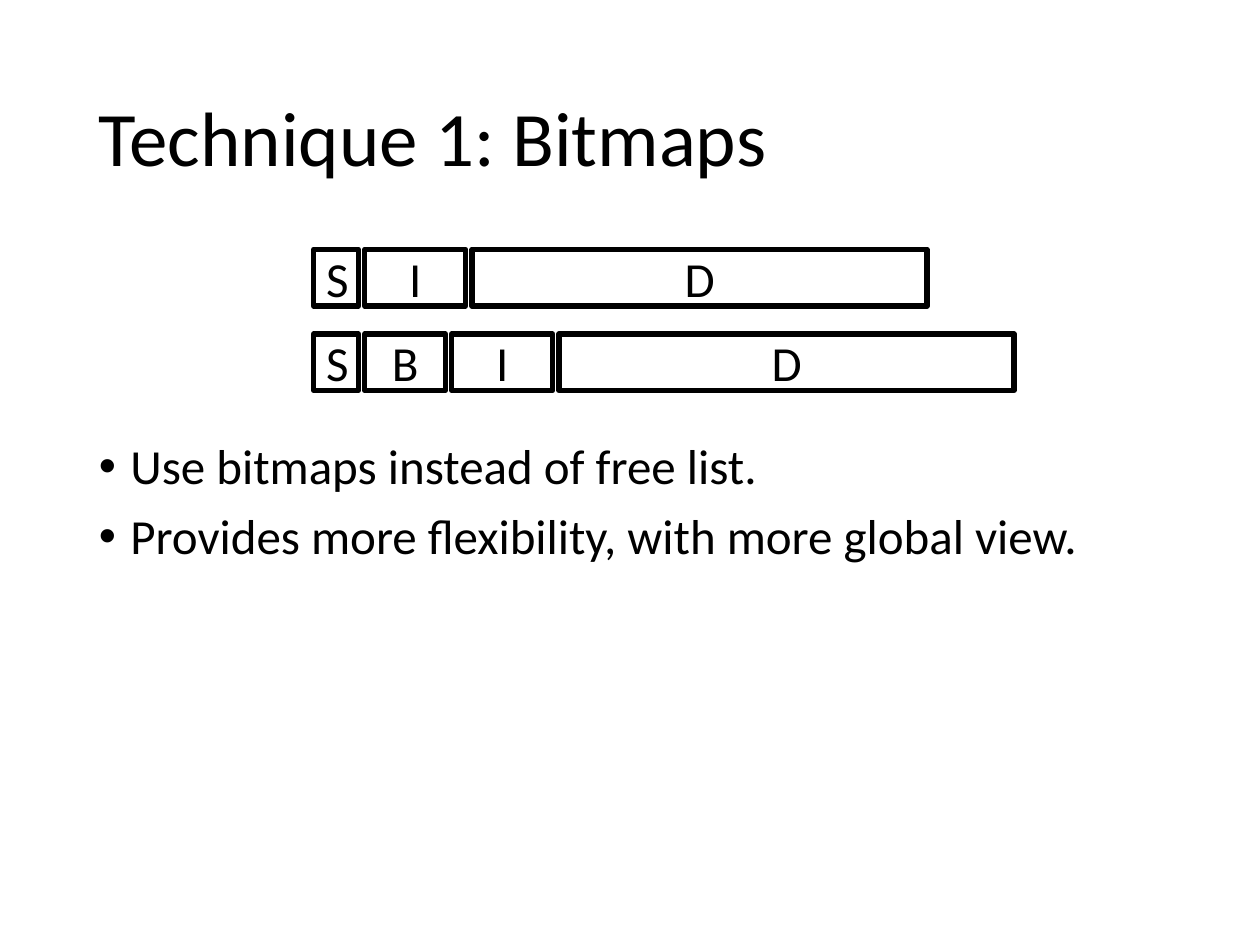
from lxml import etree
from pptx import Presentation
from pptx.dml.color import RGBColor
from pptx.enum.shapes import MSO_SHAPE
from pptx.enum.text import MSO_ANCHOR, PP_ALIGN
from pptx.oxml.ns import qn
from pptx.util import Pt

RECT = MSO_SHAPE.RECTANGLE
MIDDLE = MSO_ANCHOR.MIDDLE
CENTER = PP_ALIGN.CENTER
BLACK = RGBColor(0x00, 0x00, 0x00)
FONT = "Calibri"

LEFT, WIDTH = 49.5, 621
ROW_LEFT, ROW_HEIGHT, GAP = 179.3, 32.4, 3.7
REGION_WIDTHS = {"S": 25.5, "B": 46, "I": 57.6, "D": 260}
ROWS = [(142.5, "SID"), (190.8, "SBID")]
BULLETS = [
    "Use bitmaps instead of free list.",
    "Provides more flexibility, with more global view.",
]


def set_text(p, text, size):
    p.text = text
    p.font.name = FONT
    p.font.size = Pt(size)
    p.font.color.rgb = BLACK


prs = Presentation()
prs.slide_width = Pt(720)
prs.slide_height = Pt(540)
s = prs.slides.add_slide(prs.slide_layouts[6])

title = s.shapes.add_textbox(Pt(LEFT), Pt(28.8), Pt(WIDTH), Pt(104.4))
tf = title.text_frame
tf.word_wrap = True
tf.vertical_anchor = MIDDLE
p = tf.paragraphs[0]
p.line_spacing = 0.9
set_text(p, "Technique 1: Bitmaps", 44)

body = s.shapes.add_textbox(Pt(LEFT), Pt(249), Pt(WIDTH), Pt(237))
tf = body.text_frame
tf.word_wrap = True
for i, text in enumerate(BULLETS):
    p = tf.add_paragraph() if i else tf.paragraphs[0]
    p.line_spacing = 0.9
    p.space_before = Pt(10)
    set_text(p, text, 28)
    pPr = p._p.get_or_add_pPr()
    pPr.set("marL", str(Pt(18)))
    pPr.set("indent", str(Pt(-18)))
    bullet_font = etree.Element(qn("a:buFont"), typeface="Arial")
    bullet = etree.Element(qn("a:buChar"), char="•")
    defaults = pPr.find(qn("a:defRPr"))
    defaults.addprevious(bullet_font)
    defaults.addprevious(bullet)

for top, regions in ROWS:
    x = ROW_LEFT
    for region in regions:
        width = REGION_WIDTHS[region]
        sp = s.shapes.add_shape(RECT, Pt(x), Pt(top), Pt(width), Pt(ROW_HEIGHT))
        sp.shadow.inherit = False
        sp.fill.background()
        sp.line.color.rgb = BLACK
        sp.line.width = Pt(3)
        tf = sp.text_frame
        tf.vertical_anchor = MIDDLE
        p = tf.paragraphs[0]
        p.alignment = CENTER
        set_text(p, region, 28)
        x += width + GAP

prs.save("out.pptx")
